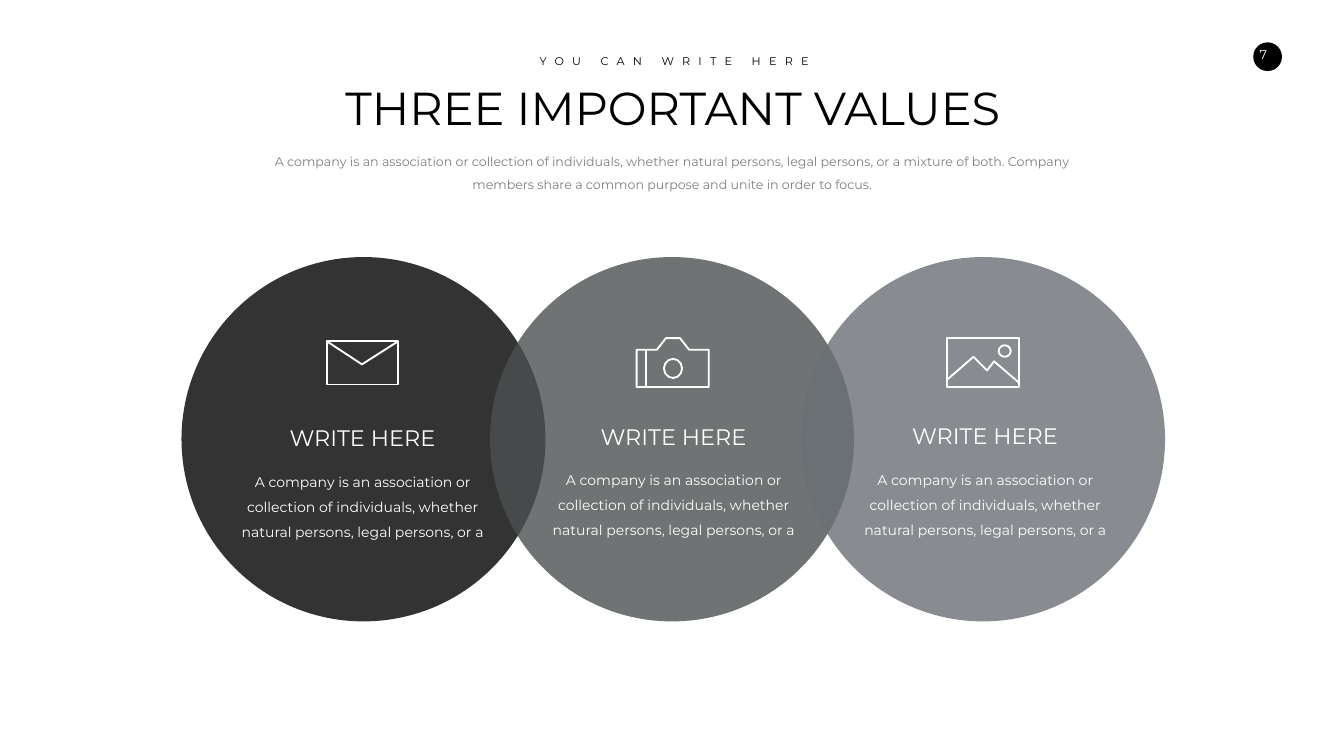
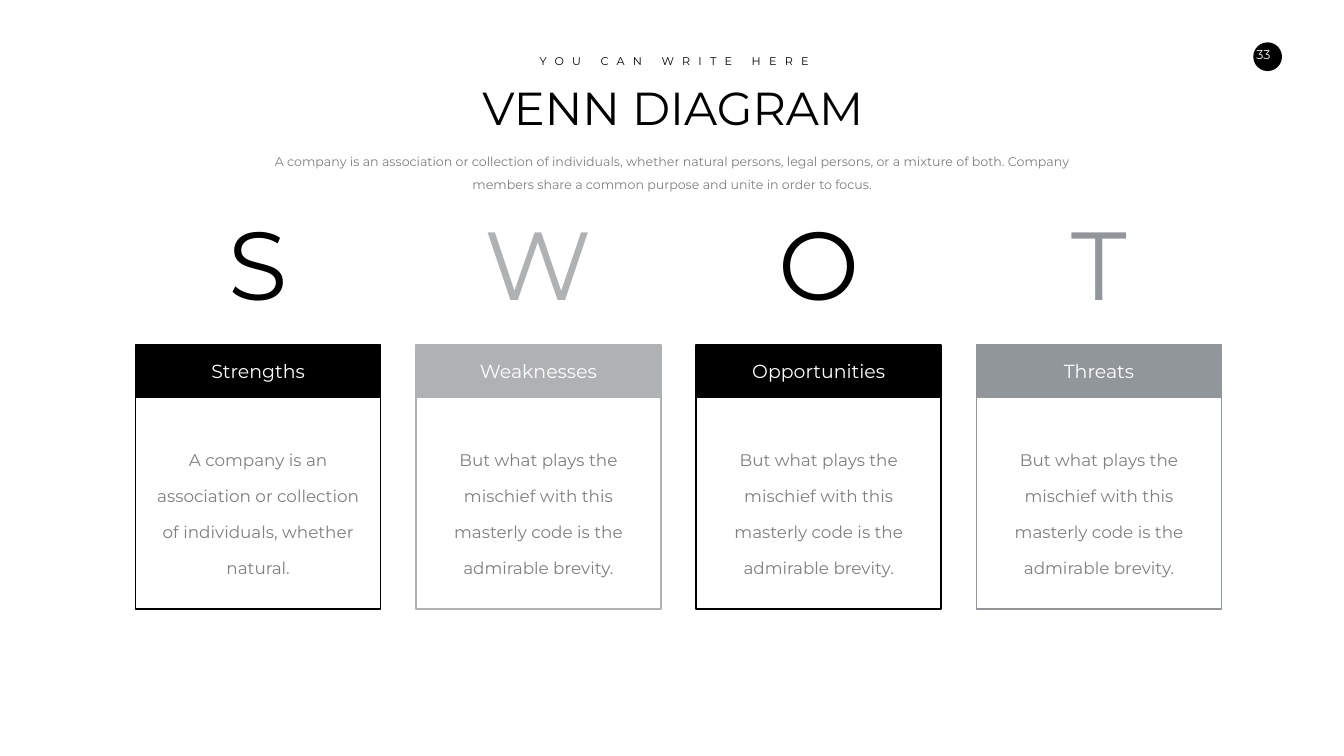
from dataclasses import dataclass

from lxml.etree import SubElement
from pptx import Presentation
from pptx.dml.color import RGBColor
from pptx.enum.shapes import MSO_CONNECTOR, MSO_SHAPE
from pptx.enum.text import MSO_ANCHOR, MSO_AUTO_SIZE, PP_ALIGN
from pptx.oxml.ns import qn
from pptx.util import Inches, Pt

FONT = "Montserrat"
BLACK, WHITE, GRAY = "000000", "FFFFFF", "7F7F7F"
SILVER, STEEL = "B0B1B3", "91969B"
ICON_LINE = 2.7
INTRO = (
    "A company is an association or collection of individuals, whether natural persons, "
    "legal persons, or a mixture of both. Company members share a common purpose and "
    "unite in order to focus."
)
VALUE_TEXT = (
    "A company is an association or collection of individuals, whether natural persons, "
    "legal persons, or a"
)
BREVITY = "But what plays the mischief with this masterly code is the admirable brevity."

Point = tuple[float, float]


@dataclass(frozen=True)
class Box:
    left: float
    top: float
    width: float
    height: float

    def inches(self):
        return [Inches(v) for v in (self.left, self.top, self.width, self.height)]


@dataclass(frozen=True)
class TextStyle:
    size: float
    color: str
    line_spacing: float | None = None
    tracking: float = 0
    anchor: MSO_ANCHOR = MSO_ANCHOR.TOP
    insets: tuple[float, float, float, float] = (0.1, 0.05, 0.1, 0.05)


@dataclass(frozen=True)
class Icon:
    left: float
    top: float
    outlines: list[list[Point]]
    circles: list[Box]
    bars: list[tuple[Point, Point]]


@dataclass(frozen=True)
class Value:
    circle_left: float
    color: str
    text_left: float
    text_top: float
    icon: Icon


@dataclass(frozen=True)
class Factor:
    letter: str
    name: str
    text: str
    color: str


CARD_INSETS = (0.27, 0.13, 0.27, 0.13)
TITLE = TextStyle(66, BLACK)
KICKER = TextStyle(16, BLACK, tracking=11.85)
INTRO_STYLE = TextStyle(18, GRAY, 1.5)
PAGE_NUMBER = TextStyle(18, WHITE, insets=(0.1, 0.1, 0.1, 0.1))
VALUE_HEADING = TextStyle(32, WHITE)
VALUE_BODY = TextStyle(20, WHITE, 1.5)
CARD_HEADING = TextStyle(27, WHITE, anchor=MSO_ANCHOR.MIDDLE, insets=CARD_INSETS)
CARD_BODY = TextStyle(24, GRAY, 1.79, anchor=MSO_ANCHOR.MIDDLE, insets=(0.4, 0.23, 0.4, 0.13))

ENVELOPE = Icon(
    6.48, 6.77,
    [[(0, 0), (1.42, 0), (1.42, 0.86), (0, 0.86), (0, 0)],
     [(0, 0), (0.7, 0.46), (1.42, 0)]],
    [], [],
)
CAMERA = Icon(
    12.63, 6.71,
    [[(1.04, 0.23), (0.86, 0), (0.58, 0), (0.4, 0.23), (0, 0.23),
      (0, 0.97), (1.43, 0.97), (1.43, 0.23), (1.04, 0.23)]],
    [Box(0.54, 0.41, 0.36, 0.38)],
    [((0.18, 0.23), (0.18, 0.97))],
)
LANDSCAPE = Icon(
    18.78, 6.71,
    [[(0, 0), (1.43, 0), (1.43, 0.97), (0, 0.97), (0, 0)],
     [(0, 0.83), (0.53, 0.37), (0.8, 0.64), (0.94, 0.46), (1.43, 0.88)]],
    [Box(1.03, 0.14, 0.24, 0.23)],
    [],
)
VALUES = [
    Value(3.6, BLACK, 4.57, 9.17, ENVELOPE),
    Value(9.72, "4B5050", 10.74, 9.14, CAMERA),
    Value(15.89, "6B7075", 16.92, 9.13, LANDSCAPE),
]
FACTORS = [
    Factor("S", "Strengths",
           "A company is an association or collection of individuals, whether natural.", BLACK),
    Factor("W", "Weaknesses", BREVITY, SILVER),
    Factor("O", "Opportunities", BREVITY, BLACK),
    Factor("T", "Threats", BREVITY, STEEL),
]
CARD_LEFT, CARD_WIDTH, CARD_GAP = 2.69, 4.86, 0.7


def rgb(color: str) -> RGBColor:
    return RGBColor.from_string(color)


def write(sp, text: str, style: TextStyle) -> None:
    tf = sp.text_frame
    tf.text = text
    tf.word_wrap = True
    tf.auto_size = MSO_AUTO_SIZE.NONE
    tf.vertical_anchor = style.anchor
    tf.margin_left, tf.margin_top, tf.margin_right, tf.margin_bottom = map(Inches, style.insets)
    p = tf.paragraphs[0]
    p.alignment = PP_ALIGN.CENTER
    if style.line_spacing:
        p.line_spacing = style.line_spacing
    for r in p.runs:
        r.font.name = FONT
        r.font.size = Pt(style.size)
        r.font.color.rgb = rgb(style.color)
        if style.tracking:
            r.font._element.set("spc", str(round(style.tracking * 100)))


def add_text(slide, box: Box, text: str, style: TextStyle) -> None:
    write(slide.shapes.add_textbox(*box.inches()), text, style)


def paint(sp, fill: str | None = None, line: str | None = None, width: float = 0,
          alpha: int = 100) -> None:
    sp.shadow.inherit = False
    if fill:
        sp.fill.solid()
        sp.fill.fore_color.rgb = rgb(fill)
        if alpha < 100:
            color = sp.fill._xPr.find(qn("a:solidFill"))[0]
            SubElement(color, qn("a:alpha")).set("val", str(alpha * 1000))
    else:
        sp.fill.background()
    if line:
        sp.line.color.rgb = rgb(line)
        sp.line.width = Pt(width)
    else:
        sp.line.fill.background()


def add_shape(slide, kind: MSO_SHAPE, box: Box, **look):
    sp = slide.shapes.add_shape(kind, *box.inches())
    paint(sp, **look)
    return sp


def add_icon(slide, icon: Icon) -> None:
    def place(point: Point):
        return Inches(icon.left + point[0]), Inches(icon.top + point[1])

    for outline in icon.outlines:
        start, *rest = [place(point) for point in outline]
        builder = slide.shapes.build_freeform(*start)
        builder.add_line_segments(rest, close=start == rest[-1])
        paint(builder.convert_to_shape(), line=WHITE, width=ICON_LINE)
    for c in icon.circles:
        box = Box(icon.left + c.left, icon.top + c.top, c.width, c.height)
        add_shape(slide, MSO_SHAPE.OVAL, box, line=WHITE, width=ICON_LINE)
    for start, end in icon.bars:
        bar = slide.shapes.add_connector(MSO_CONNECTOR.STRAIGHT, *place(start), *place(end))
        bar.line.color.rgb = rgb(WHITE)
        bar.line.width = Pt(ICON_LINE)
        SubElement(bar._element.spPr, qn("a:effectLst"))


def add_slide(prs, title: str, number: str):
    slide = prs.slides.add_slide(prs.slide_layouts[5])
    sp = slide.shapes.title
    sp.left, sp.top, sp.width, sp.height = Box(5.82, 1.52, 15.05, 1.21).inches()
    write(sp, title, TITLE)
    add_shape(slide, MSO_SHAPE.OVAL, Box(24.86, 0.84, 0.57, 0.57), fill=BLACK)
    add_text(slide, Box(24.63, 0.84, 0.86, 0.5), number, PAGE_NUMBER)
    add_text(slide, Box(9.95, 1.02, 6.85, 0.37), "YOU CAN WRITE HERE", KICKER)
    add_text(slide, Box(5.32, 2.86, 16.03, 1.01), INTRO, INTRO_STYLE)
    return slide


def build_values(prs) -> None:
    slide = add_slide(prs, "THREE IMPORTANT VALUES", "7")
    for value in VALUES:
        add_shape(slide, MSO_SHAPE.OVAL, Box(value.circle_left, 5.1, 7.22, 7.23),
                  fill=value.color, alpha=80)
    for value in VALUES:
        add_icon(slide, value.icon)
        left, top = value.text_left, value.text_top
        add_text(slide, Box(left, top, 5.25, 1.54), VALUE_TEXT, VALUE_BODY)
        add_text(slide, Box(left + 0.67, top - 0.8, 3.9, 0.64), "WRITE HERE", VALUE_HEADING)


def build_swot(prs) -> None:
    slide = add_slide(prs, "VENN DIAGRAM", "33")
    for i, factor in enumerate(FACTORS):
        left = CARD_LEFT + i * (CARD_WIDTH + CARD_GAP)
        letter = TextStyle(138, factor.color, anchor=MSO_ANCHOR.MIDDLE, insets=CARD_INSETS)
        add_text(slide, Box(left, 4.19, CARD_WIDTH, 2.03), factor.letter, letter)
        header = add_shape(slide, MSO_SHAPE.RECTANGLE, Box(left, 6.85, CARD_WIDTH, 1.04),
                           fill=factor.color, line=factor.color, width=2.25)
        write(header, factor.name, CARD_HEADING)
        panel = add_shape(slide, MSO_SHAPE.RECTANGLE, Box(left, 7.89, CARD_WIDTH, 4.19),
                          line=factor.color, width=2.25)
        write(panel, factor.text, CARD_BODY)


def main() -> None:
    prs = Presentation()
    prs.slide_width, prs.slide_height = Inches(26.66), Inches(15)
    build_values(prs)
    build_swot(prs)
    prs.save("out.pptx")


if __name__ == "__main__":
    main()
